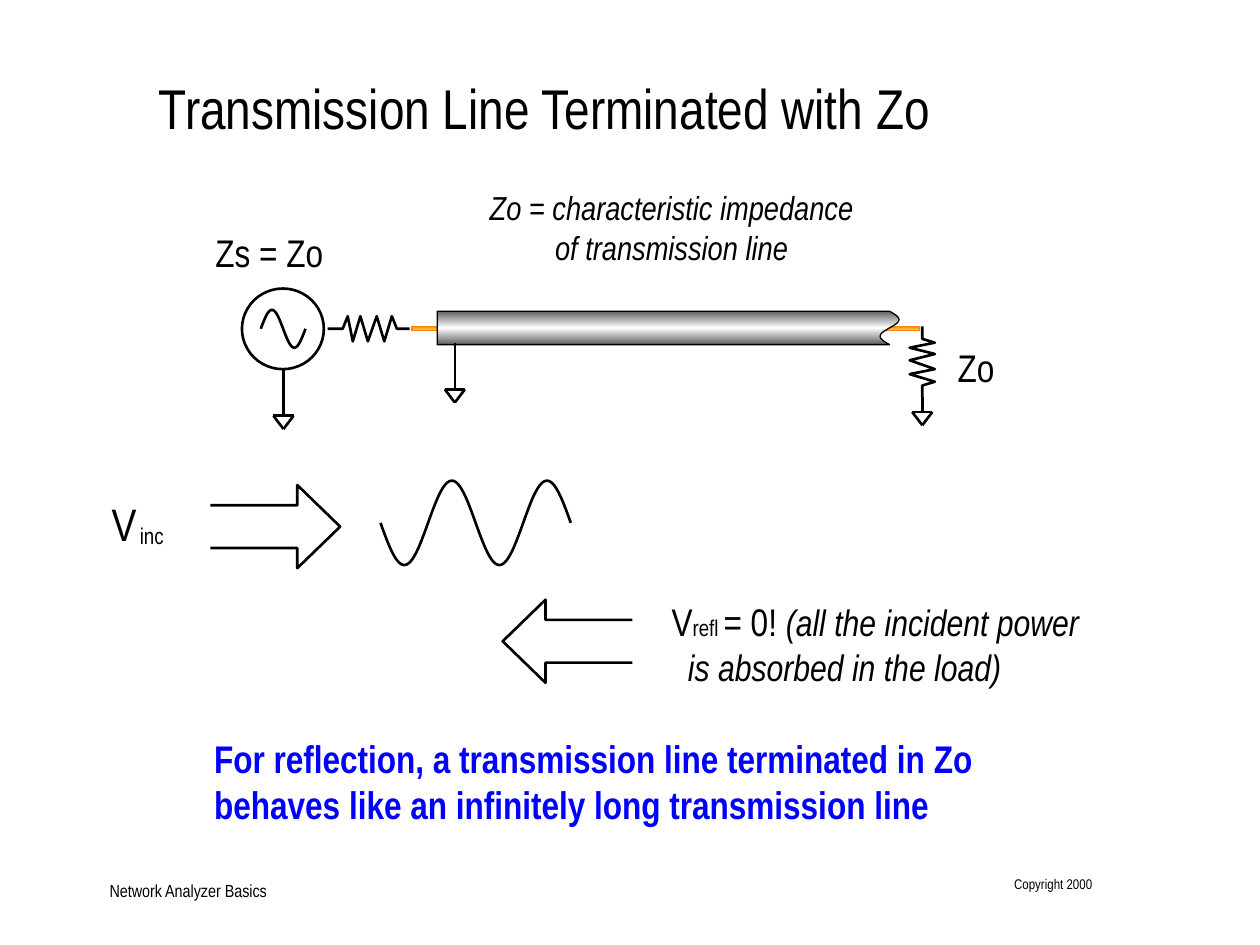
from dataclasses import dataclass
from math import pi, sin

from lxml.etree import SubElement
from pptx import Presentation
from pptx.dml.color import RGBColor
from pptx.enum.shapes import MSO_CONNECTOR, MSO_SHAPE
from pptx.enum.text import MSO_ANCHOR as Anchor, MSO_AUTO_SIZE, PP_ALIGN as Align
from pptx.oxml.ns import qn
from pptx.util import Inches, Pt

BLACK = RGBColor(0x00, 0x00, 0x00)
WHITE = RGBColor(0xFF, 0xFF, 0xFF)
BLUE = RGBColor(0x00, 0x00, 0xFF)
ORANGE = RGBColor(0xFF, 0x81, 0x00)
SAND = RGBColor(0xE0, 0xE0, 0x74)
GREY = RGBColor(0x5F, 0x5F, 0x5F)
FONT = "Arial Narrow"

prs = Presentation()
prs.slide_width, prs.slide_height = Inches(10), Inches(7.5)
slide = prs.slides.add_slide(prs.slide_layouts[5])
CELL = prs.slide_width // 100  # the slide is a grid of 100 columns by 75 rows

Point = tuple[float, float]


@dataclass
class Run:
    text: str
    size: float
    italic: bool = False


@dataclass
class Label:
    box: tuple[float, float, float, float]
    lines: list[list[Run]]
    color: RGBColor = BLACK
    bold: bool = False
    align: Align = Align.LEFT
    anchor: Anchor = Anchor.TOP
    indent: float = 0  # left margin of the lines after the first


@dataclass
class Ground:
    x: float
    top: float
    bar: float


def grid(*cells: float) -> list[int]:
    return [round(c * CELL) for c in cells]


def write(s, label: Label) -> None:
    s.left, s.top, s.width, s.height = grid(*label.box)
    tf = s.text_frame
    tf.word_wrap, tf.auto_size = True, MSO_AUTO_SIZE.NONE
    tf.vertical_anchor = label.anchor
    tf.margin_left = tf.margin_right = tf.margin_top = tf.margin_bottom = 0
    for i, runs in enumerate(label.lines):
        p = tf.add_paragraph() if i else tf.paragraphs[0]
        p.alignment = label.align
        p.font.name, p.font.bold = FONT, label.bold
        p.font.color.rgb = label.color
        if i and label.indent:
            p._p.get_or_add_pPr().set("marL", str(*grid(label.indent)))
        for run in runs:
            r = p.add_run()
            r.text = run.text
            r.font.size, r.font.italic = Pt(run.size), run.italic


def style(s, line: RGBColor = BLACK, width: float = 1.5) -> None:
    s.line.color.rgb, s.line.width = line, Pt(width)
    s.shadow.inherit = False


def gradient(s, *colors: RGBColor) -> None:
    s.fill.gradient()
    s.fill.gradient_angle = 270
    stops = s._element.spPr.find(qn("a:gradFill")).find(qn("a:gsLst"))
    stops.clear()
    for i, color in enumerate(colors):
        gs = SubElement(stops, qn("a:gs"), pos=str(100000 * i // (len(colors) - 1)))
        SubElement(gs, qn("a:srgbClr"), val=str(color))


def outline(points: list[Point], close: bool = False):
    start, *rest = [tuple(grid(*pt)) for pt in points]
    builder = slide.shapes.build_freeform(*start, scale=1.0)
    builder.add_line_segments(rest, close=close)
    s = builder.convert_to_shape()
    s.fill.background()
    style(s)
    return s


def line(x1: float, y1: float, x2: float, y2: float) -> None:
    s = slide.shapes.add_connector(MSO_CONNECTOR.STRAIGHT, *grid(x1, y1, x2, y2))
    s.line.color.rgb, s.line.width = BLACK, Pt(1.5)
    SubElement(s._element.spPr, qn("a:effectLst"))


def ground(g: Ground) -> None:
    half, tip = 0.8, g.bar + 1.05
    line(g.x - half, g.bar, g.x, tip)
    line(g.x + half, g.bar, g.x, tip)
    line(g.x - half, g.bar, g.x + half, g.bar)
    line(g.x, g.top, g.x, g.bar)


def wave(x: float, y: float, width: float, amp: float, cycles: int) -> None:
    """Sine line; a positive amplitude goes down first."""
    n = 40 * cycles
    outline([(x + width * i / n, y + amp * sin(2 * pi * cycles * i / n))
             for i in range(n + 1)])


def block_arrow(tail: float, direction: int, middle: float) -> None:
    neck, tip = tail + 6.9 * direction, tail + 10.3 * direction
    outline([(tail, middle - 1.7), (neck, middle - 1.7), (neck, middle - 3.3),
             (tip, middle), (neck, middle + 3.3), (neck, middle + 1.7),
             (tail, middle + 1.7)])


# Title
write(slide.shapes.title, Label(
    (12.6, 5.8, 86, 5.7), [[Run("Transmission Line Terminated with Zo", 32)]]))

# Source resistor
peaks = [27.6, 28, 28.6, 29.2, 29.9, 30.5, 31.1]
outline([(26, 26.1), (27.2, 26.1),
         *[(x, 27.1 if i % 2 else 25.1) for i, x in enumerate(peaks)],
         (31.5, 26.1), (32.5, 26.1)])

# Inner conductor
s = slide.shapes.add_shape(MSO_SHAPE.ROUNDED_RECTANGLE, *grid(32.7, 25.9, 40.3, 0.35))
s.adjustments[0] = 0
gradient(s, ORANGE, SAND)
style(s, ORANGE, 0.75)

# Cable with a torn right end
TORN = 24
s = outline([(34.7, 24.7),
             *[(70.6 + 0.75 * sin(2 * pi * i / TORN), 24.7 + 2.65 * i / TORN)
               for i in range(TORN + 1)],
             (34.7, 27.35)], close=True)
gradient(s, GREY, WHITE, GREY)
style(s, BLACK, 0.75)

# Generator
s = slide.shapes.add_shape(MSO_SHAPE.OVAL, *grid(19.2, 22.9, 6.5, 6.4))
s.fill.solid()
s.fill.fore_color.rgb = WHITE
style(s)
wave(20.7, 26.1, 3.55, -1.5, 1)

# Load resistor
turns = [27.2, 27.6, 28.1, 28.6, 29.3, 29.7, 30.3]
outline([(73.2, 25.9), (73.2, 26.9),
         *[(72.2 if i % 2 else 74.2, y) for i, y in enumerate(turns)],
         (73.2, 30.6), (73.2, 31.5)])

# Ground symbols
for g in (Ground(36.1, 27.2, 30.9), Ground(22.5, 29.3, 33), Ground(73.2, 31.5, 32.7)):
    ground(g)

# Incident and reflected waves
block_arrow(16.7, 1, 41.8)
wave(30.2, 41.5, 15.1, 3.35, 2)
block_arrow(50.2, -1, 50.9)

# Labels
for label in (
    Label((8.7, 69.7, 26.7, 1.8), [[Run("Network Analyzer Basics", 10)]],
          anchor=Anchor.BOTTOM),
    Label((79.3, 69.5, 7.4, 2.5), [[Run("Copyright 2000", 8)]], align=Align.RIGHT),
    Label((17, 58.3, 63.7, 7.5),
          [[Run("For reflection, a transmission line terminated in Zo "
                "behaves like an infinitely long transmission line", 22)]],
          color=BLUE, bold=True),
    Label((17.1, 18.2, 11.3, 3.8), [[Run("Zs = Zo", 22)]]),
    Label((76, 27.3, 4, 3.8), [[Run("Zo", 22)]]),
    Label((53.3, 47.5, 43.1, 8.7),
          [[Run("V", 22), Run("refl ", 13), Run("= 0! ", 22),
            Run("(all the incident power", 21, True)],
           [Run("is absorbed in the load)", 21, True)]], indent=1.3),
    Label((8.5, 39.6, 2.7, 4.1), [[Run("V", 26)]],
          align=Align.CENTER, anchor=Anchor.BOTTOM),
    Label((11.1, 41.4, 2.9, 2.2), [[Run("inc", 13)]], anchor=Anchor.BOTTOM),
    Label((38.3, 14.9, 30, 7.3),
          [[Run("Zo = characteristic impedance", 19, True)],
           [Run("of transmission line", 19, True)]], align=Align.CENTER),
):
    write(slide.shapes.add_textbox(0, 0, 0, 0), label)

prs.save("out.pptx")
